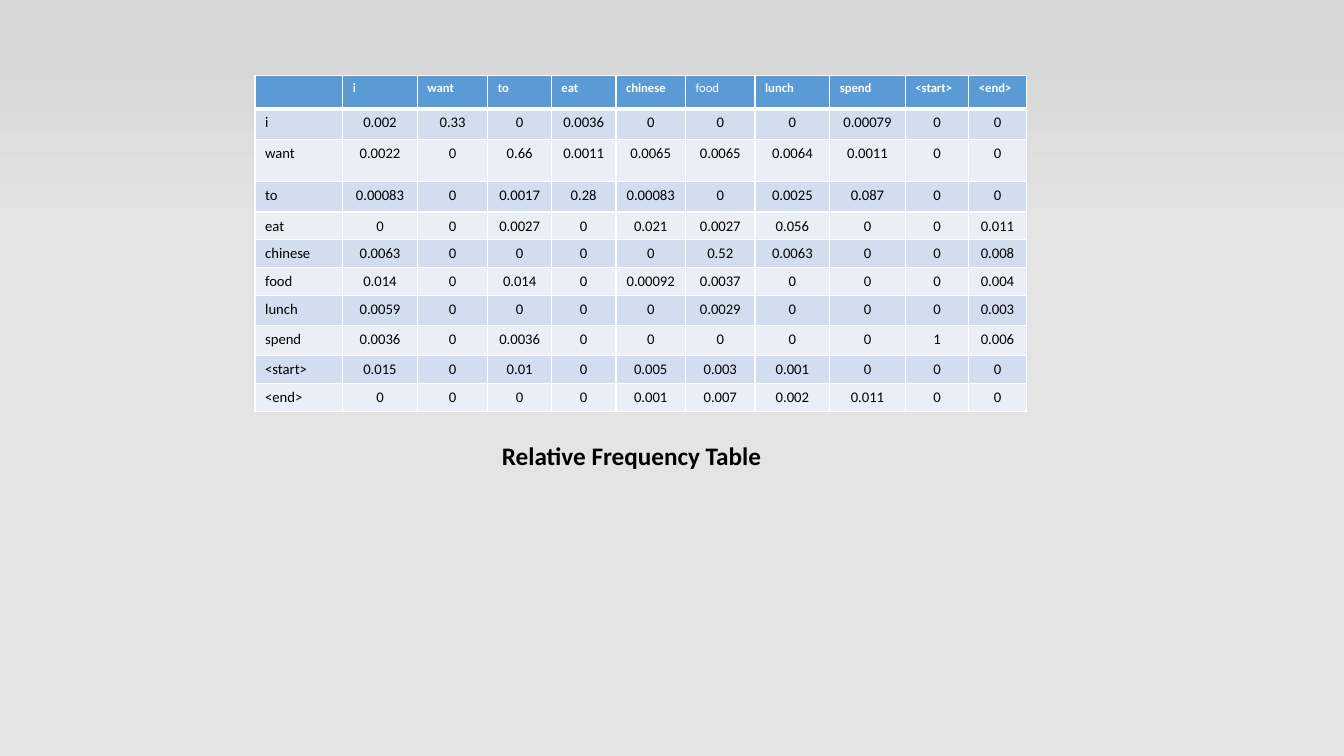
"""Build a slide with a bigram relative frequency table and its caption."""
from lxml import etree
from pptx import Presentation
from pptx.dml.color import RGBColor
from pptx.enum import text
from pptx.oxml.ns import qn
from pptx.util import Pt

WORDS = ["i", "want", "to", "eat", "chinese", "food", "lunch", "spend", "<start>", "<end>"]
FREQUENCIES = [
    "0.002 0.33 0 0.0036 0 0 0 0.00079 0 0",
    "0.0022 0 0.66 0.0011 0.0065 0.0065 0.0064 0.0011 0 0",
    "0.00083 0 0.0017 0.28 0.00083 0 0.0025 0.087 0 0",
    "0 0 0.0027 0 0.021 0.0027 0.056 0 0 0.011",
    "0.0063 0 0 0 0 0.52 0.0063 0 0 0.008",
    "0.014 0 0.014 0 0.00092 0.0037 0 0 0 0.004",
    "0.0059 0 0 0 0 0.0029 0 0 0 0.003",
    "0.0036 0 0.0036 0 0 0 0 0 1 0.006",
    "0.015 0 0.01 0 0.005 0.003 0.001 0 0 0",
    "0 0 0 0 0.001 0.007 0.002 0.011 0 0",
]
CAPTION = "Relative Frequency Table"
LIGHT_WORD = "food"
FONT = "Calibri"

COL_WIDTHS = [62.6, 53.3, 50.4, 45.4, 46.1, 49.7, 49.7, 53.3, 54, 45.4, 41]
ROW_HEIGHTS = [23.8, 21.6, 30.5, 21.6, 19, 19, 19, 21.6, 21.6, 19, 19]

BLACK = RGBColor(0x00, 0x00, 0x00)
WHITE = RGBColor(0xFF, 0xFF, 0xFF)
HEADER_BLUE = RGBColor(0x5B, 0x9B, 0xD5)
BANDS = [RGBColor(0xEA, 0xEF, 0xF7), RGBColor(0xD2, 0xDE, 0xEF)]
BACKDROP = [(0.07, RGBColor(0xD7, 0xD7, 0xD7)), (0.31, RGBColor(0xE4, 0xE4, 0xE4))]


def set_font(p, size, color, bold):
    p.font.name = FONT
    p.font.size = Pt(size)
    p.font.bold = bold
    p.font.color.rgb = color


def set_borders(cell, top, bottom):
    tc_pr = cell._tc.get_or_add_tcPr()
    for tag, width in (("a:lnL", 1), ("a:lnR", 1), ("a:lnT", top), ("a:lnB", bottom)):
        ln = etree.SubElement(tc_pr, qn(tag), w=str(Pt(width)))
        fill = etree.SubElement(ln, qn("a:solidFill"))
        etree.SubElement(fill, qn("a:srgbClr"), val=str(WHITE))


def fill_cell(cell, row, col, value):
    header = row == 0
    set_borders(cell, 3 if row == 1 else 1, 3 if header else 1)
    cell.fill.solid()
    cell.fill.fore_color.rgb = HEADER_BLUE if header else BANDS[row % 2]
    p = cell.text_frame.paragraphs[0]
    if value:
        p.text = value
    else:
        etree.SubElement(p._p, qn("a:endParaRPr"), sz="900")
    if not header and col > 0:
        p.alignment = text.PP_ALIGN.CENTER
    if header:
        set_font(p, 9, WHITE, value != LIGHT_WORD)
    else:
        set_font(p, 10.5, BLACK, False)


def main():
    prs = Presentation()
    prs.slide_width, prs.slide_height = Pt(960), Pt(540)
    s = prs.slides.add_slide(prs.slide_layouts[6])

    fill = s.background.fill
    fill.gradient()
    fill.gradient_angle = 270
    for stop, (position, color) in zip(fill.gradient_stops, BACKDROP):
        stop.position = position
        stop.color.rgb = color

    sp = s.shapes.add_textbox(Pt(351.4), Pt(311), Pt(200.9), Pt(29))
    tf = sp.text_frame
    tf.word_wrap = False
    tf.auto_size = text.MSO_AUTO_SIZE.SHAPE_TO_FIT_TEXT
    p = tf.paragraphs[0]
    p.text = CAPTION
    set_font(p, 18, BLACK, True)

    rows = [[""] + WORDS]
    rows += [[word] + line.split() for word, line in zip(WORDS, FREQUENCIES)]
    table = s.shapes.add_table(len(rows), len(rows[0]), Pt(182.2), Pt(54),
                               Pt(sum(COL_WIDTHS)), Pt(sum(ROW_HEIGHTS))).table
    for column, width in zip(table.columns, COL_WIDTHS):
        column.width = Pt(width)
    for row, height in zip(table.rows, ROW_HEIGHTS):
        row.height = Pt(height)
    for i, values in enumerate(rows):
        for j, value in enumerate(values):
            fill_cell(table.cell(i, j), i, j, value)

    prs.save("out.pptx")


if __name__ == "__main__":
    main()
